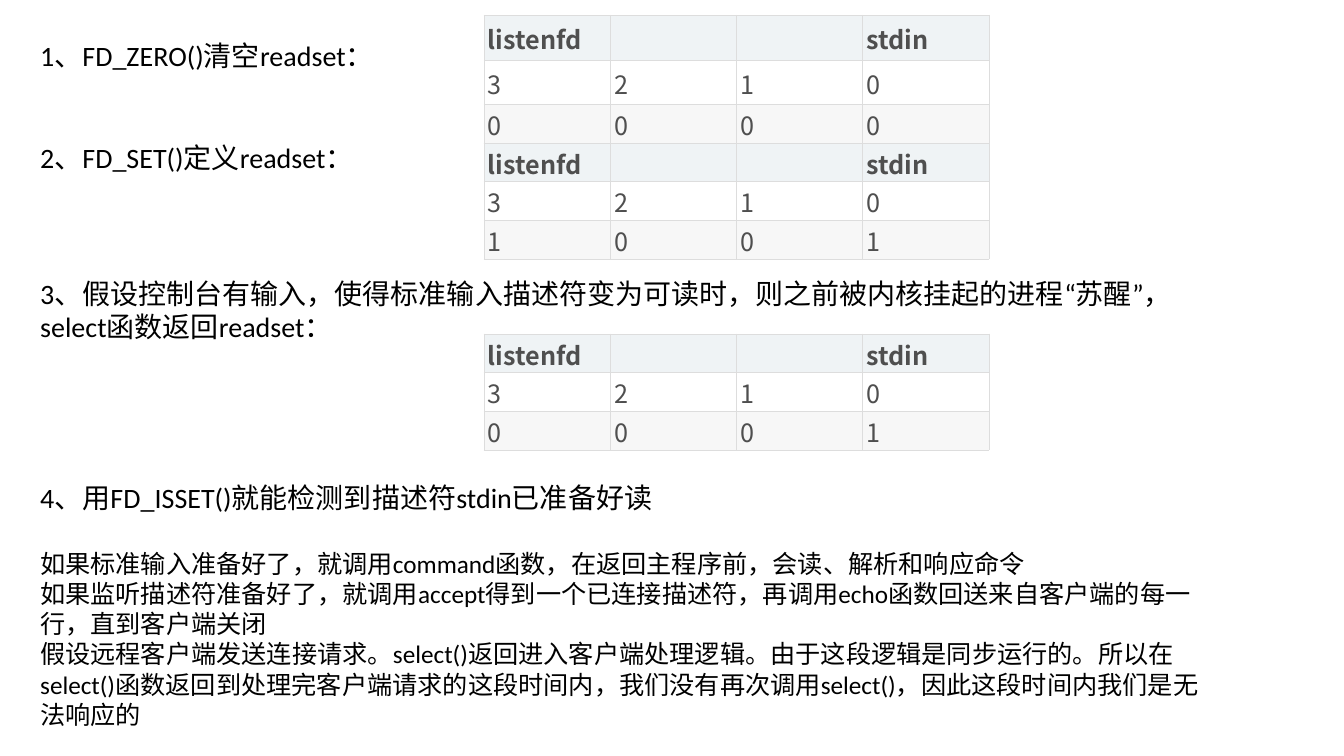
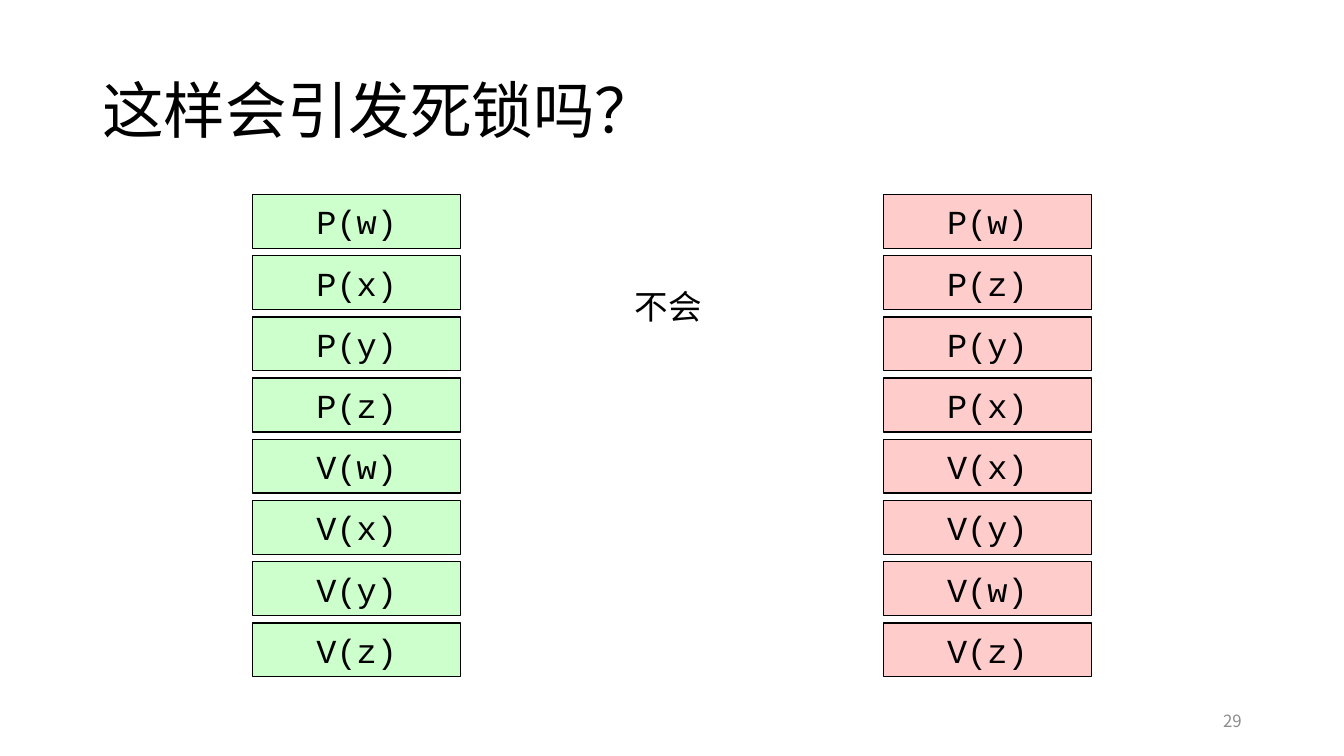
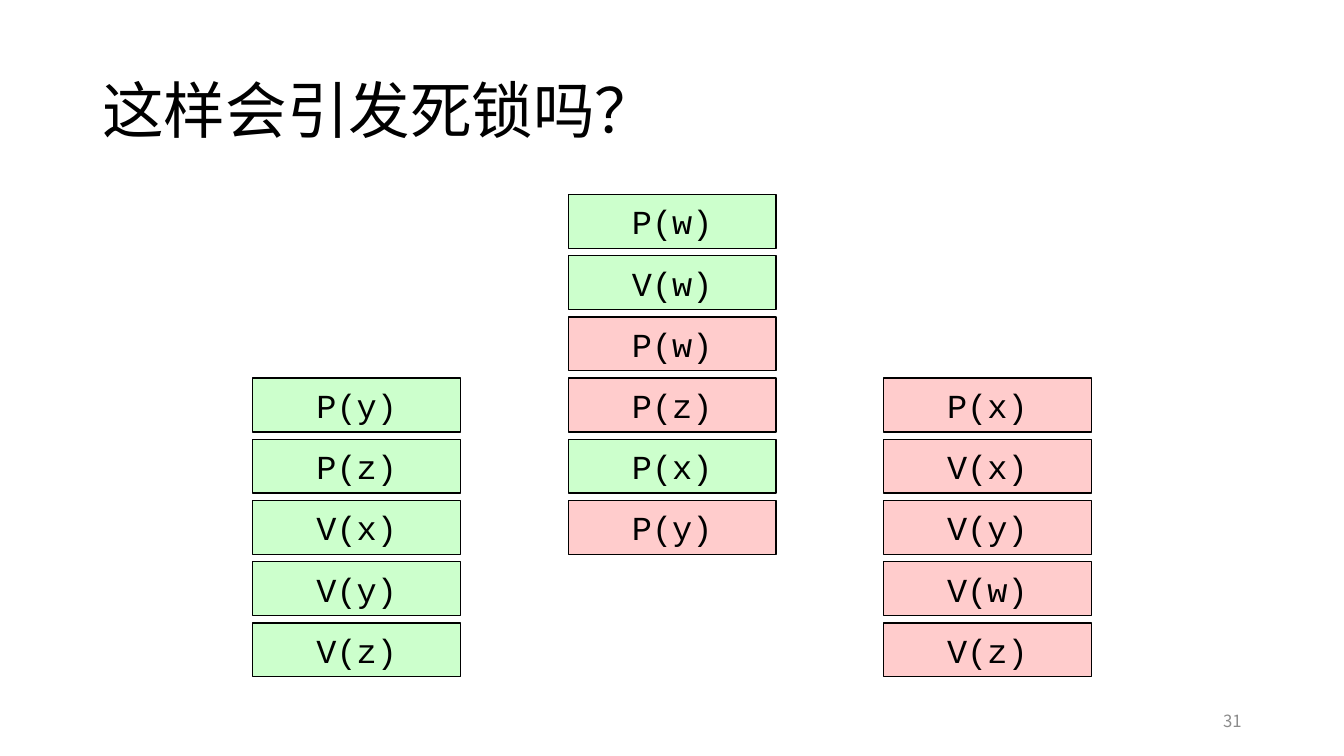
from dataclasses import dataclass
from typing import Any

from lxml.etree import SubElement
from pptx import Presentation
from pptx.dml.color import RGBColor
from pptx.enum.shapes import MSO_SHAPE as Preset
from pptx.enum.text import MSO_ANCHOR as Anchor, PP_ALIGN as Align
from pptx.oxml.ns import qn
from pptx.util import Pt

# Shared look
COLORS = {
    "ink": "000000", "page_number": "8C8C8C", "cell_text": "4F4F4F",
    "border": "DDDDDD", "head": "EFF3F5", "plain": "FFFFFF", "band": "F7F7F7",
    "green": "CCFFCC", "red": "FFCCCC",
}
SANS, BODY, MONO = "Noto Sans CJK SC", "Calibri", "Courier New"

# Grid of semaphore operations
COLUMN_LEFTS = (180.5, 405.9, 631)
OPERATION_TOP, OPERATION_STEP = 139, 43.7
OPERATION_WIDTH, OPERATION_HEIGHT = 148.5, 38.4

# Descriptor tables
TABLE_LEFT, CELL_WIDTH, ROW_HEIGHT = 345.6, 90.2, 27.6
BLANK_LINE = 24.4


@dataclass(frozen=True)
class TextStyle:
    size: float
    font: str
    color: str = "ink"
    bold: bool = False


@dataclass(frozen=True)
class Step:
    text: str
    size: float = 20
    lines_before: int = 0


@dataclass(frozen=True)
class DescriptorTable:
    top: float
    bits: str
    row_heights: tuple[float, ...] = (ROW_HEIGHT,) * 3


@dataclass(frozen=True)
class Stack:
    column: int
    first_row: int
    operations: str
    colors: str  # one letter per operation: g or r


@dataclass(frozen=True)
class DeadlockPage:
    number: str
    stacks: tuple[Stack, ...]
    answer: str = ""


STEPS = (
    Step("1、FD_ZERO()清空readset："),
    Step("2、FD_SET()定义readset：", lines_before=2),
    Step("3、假设控制台有输入，使得标准输入描述符变为可读时，则之前被内核挂起的进程“苏醒”，"
         "select函数返回readset：", lines_before=3),
    Step("4、用FD_ISSET()就能检测到描述符stdin已准备好读", lines_before=4),
    Step("如果标准输入准备好了，就调用command函数，在返回主程序前，会读、解析和响应命令",
         18, 1),
    Step("如果监听描述符准备好了，就调用accept得到一个已连接描述符，再调用echo函数"
         "回送来自客户端的每一行，直到客户端关闭", 18),
    Step("假设远程客户端发送连接请求。select()返回进入客户端处理逻辑。由于这段逻辑是同步运行的。"
         "所以在select()函数返回到处理完客户端请求的这段时间内，我们没有再次调用select()，"
         "因此这段时间内我们是无法响应的", 18),
)
TABLES = (
    DescriptorTable(10.8, "0000", (32, 32, ROW_HEIGHT)),
    DescriptorTable(102.2, "1001"),
    DescriptorTable(238.5, "0001"),
)
DEADLOCK_PAGES = (
    DeadlockPage("29", (
        Stack(0, 0, "P(w) P(x) P(y) P(z) V(w) V(x) V(y) V(z)", "g" * 8),
        Stack(2, 0, "P(w) P(z) P(y) P(x) V(x) V(y) V(w) V(z)", "r" * 8),
    ), "不会"),
    DeadlockPage("31", (
        Stack(1, 0, "P(w) V(w) P(w) P(z) P(x) P(y)", "ggrrgr"),
        Stack(0, 3, "P(y) P(z) V(x) V(y) V(z)", "g" * 5),
        Stack(2, 3, "P(x) V(x) V(y) V(w) V(z)", "r" * 5),
    )),
)


# Helpers
def rgb(name: str) -> RGBColor:
    return RGBColor.from_string(COLORS[name])


def set_format(target: Any, values: dict[str, Any]) -> None:
    for name, value in values.items():
        setattr(target, name, value)


def paint(target: Any, color: str) -> None:
    target.fill.solid()
    target.fill.fore_color.rgb = rgb(color)


def write(para: Any, text: str, style: TextStyle, **layout: Any) -> None:
    span = para.add_run()
    span.text = text
    set_format(span.font, {"size": Pt(style.size), "name": style.font, "bold": style.bold})
    span.font.color.rgb = rgb(style.color)
    # East Asian characters take their own typeface entry
    SubElement(span.font._element, qn("a:ea"), typeface=style.font)
    set_format(para, layout)


def add_text(page: Any, left: float, top: float, width: float, height: float,
             **frame: Any) -> Any:
    box = page.shapes.add_textbox(Pt(left), Pt(top), Pt(width), Pt(height))
    set_format(box.text_frame, {"word_wrap": True, **frame})
    return box.text_frame


def add_borders(cell: Any) -> None:
    properties = cell._tc.get_or_add_tcPr()
    for side in ("lnL", "lnR", "lnT", "lnB"):
        line = SubElement(properties, qn(f"a:{side}"), w=str(Pt(0.38)))
        fill = SubElement(line, qn("a:solidFill"))
        SubElement(fill, qn("a:srgbClr"), val=COLORS["border"])


def add_descriptor_table(page: Any, spec_table: DescriptorTable) -> None:
    rows = (("listenfd", "", "", "stdin"), tuple("3210"), tuple(spec_table.bits))
    table = page.shapes.add_table(
        len(rows), 4, Pt(TABLE_LEFT), Pt(spec_table.top),
        Pt(4 * CELL_WIDTH), Pt(sum(spec_table.row_heights))).table
    set_format(table, {"first_row": False, "horz_banding": False})
    for column in table.columns:
        column.width = Pt(CELL_WIDTH)
    for row, texts, height, color in zip(
            table.rows, rows, spec_table.row_heights, ("head", "plain", "band")):
        row.height = Pt(height)
        style = TextStyle(18, SANS, "cell_text", color == "head")
        for cell, text in zip(row.cells, texts):
            set_format(cell, {
                "margin_left": Pt(2.88), "margin_right": Pt(2.88),
                "margin_top": Pt(1.44), "margin_bottom": Pt(0),
                "vertical_anchor": Anchor.MIDDLE})
            add_borders(cell)
            paint(cell, color)
            if text:
                write(cell.text_frame.paragraphs[0], text, style)


def add_stack(page: Any, stack: Stack) -> None:
    for row, (operation, letter) in enumerate(
            zip(stack.operations.split(), stack.colors), stack.first_row):
        box = page.shapes.add_shape(
            Preset.RECTANGLE, Pt(COLUMN_LEFTS[stack.column]),
            Pt(OPERATION_TOP + row * OPERATION_STEP),
            Pt(OPERATION_WIDTH), Pt(OPERATION_HEIGHT))
        box.shadow.inherit = False
        paint(box, "green" if letter == "g" else "red")
        box.line.color.rgb = rgb("ink")
        box.line.width = Pt(1)
        box.text_frame.vertical_anchor = Anchor.MIDDLE
        write(box.text_frame.paragraphs[0], operation, TextStyle(24, MONO),
              alignment=Align.CENTER)


# Pages
def add_select_page(deck: Any) -> None:
    page = deck.slides.add_slide(deck.slide_layouts[6])
    frame = add_text(page, 21.6, -0.72, 843.8, 540.72, margin_top=Pt(3.6 + BLANK_LINE))
    for index, step in enumerate(STEPS):
        para = frame.add_paragraph() if index else frame.paragraphs[0]
        write(para, step.text, TextStyle(step.size, BODY),
              space_before=Pt(step.lines_before * BLANK_LINE))
    for table in TABLES:
        add_descriptor_table(page, table)


def add_deadlock_page(deck: Any, content: DeadlockPage) -> None:
    page = deck.slides.add_slide(deck.slide_layouts[6])
    title = add_text(page, 66, 28.75, 828, 104.4, vertical_anchor=Anchor.MIDDLE)
    write(title.paragraphs[0], "这样会引发死锁吗？", TextStyle(44, SANS), line_spacing=0.9)
    number = add_text(page, 678, 500.5, 216, 28.75, vertical_anchor=Anchor.MIDDLE)
    write(number.paragraphs[0], content.number, TextStyle(12, SANS, "page_number"),
          alignment=Align.RIGHT)
    for stack in content.stacks:
        add_stack(page, stack)
    if content.answer:
        answer = add_text(page, 446.4, 200.9, 67, 36)
        write(answer.paragraphs[0], content.answer, TextStyle(24, SANS))


def main() -> None:
    deck = Presentation()
    set_format(deck, {"slide_width": Pt(960), "slide_height": Pt(540)})
    add_select_page(deck)
    for content in DEADLOCK_PAGES:
        add_deadlock_page(deck, content)
    deck.save("out.pptx")


if __name__ == "__main__":
    main()
